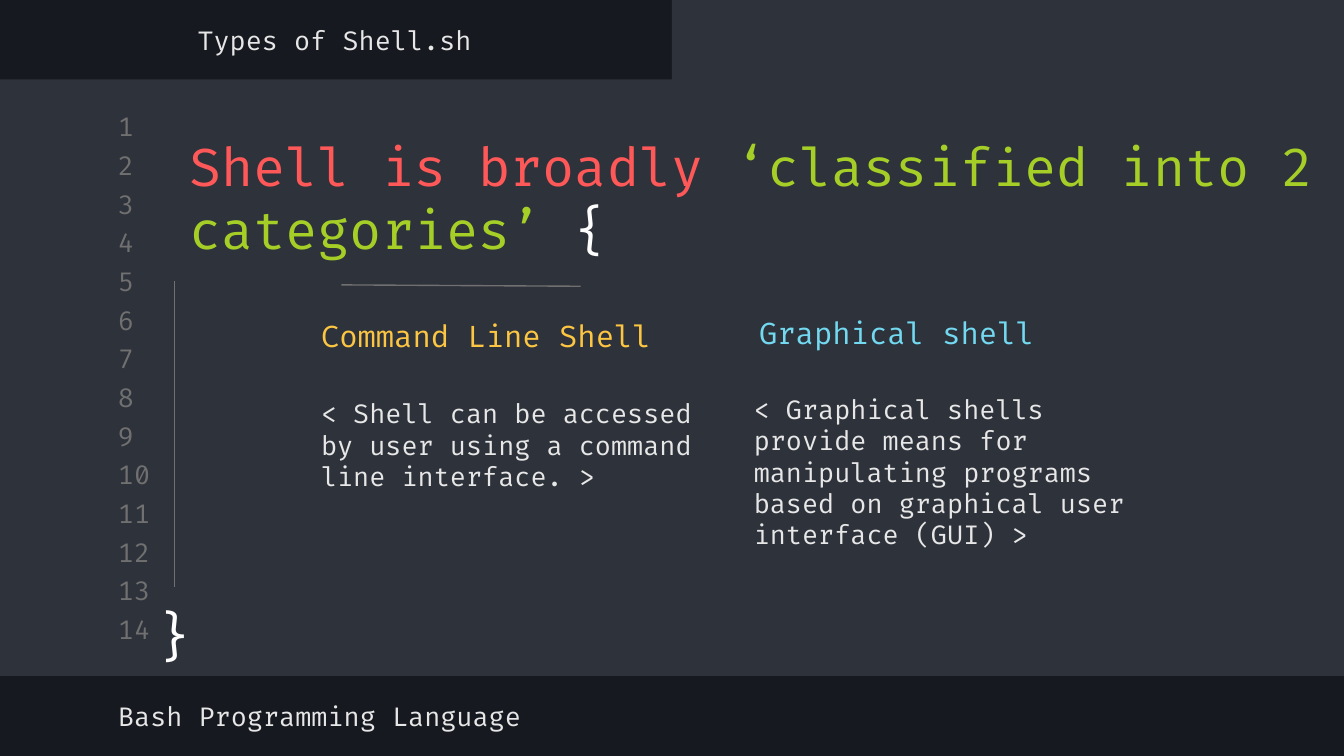
from dataclasses import dataclass
from pptx import Presentation
from pptx.dml.color import RGBColor as Rgb
from pptx.enum.shapes import MSO_CONNECTOR as Link, MSO_SHAPE as Form
from pptx.enum.text import MSO_ANCHOR as Anchor, PP_ALIGN as Align
from pptx.oxml.ns import qn
from pptx.util import Inches, Pt
from lxml.etree import SubElement


@dataclass(frozen=True)
class Theme:
    font: str = "Fira Code"
    back: str = "16191F"
    panel: str = "2E323B"
    gray: str = "707070"
    light: str = "E7E7E7"
    white: str = "FFFFFF"
    red: str = "FF5858"
    green: str = "A5CF27"
    gold: str = "FCC642"
    blue: str = "72D9F0"
    title: int = 28
    head: int = 16
    body: int = 14
    rule: float = 0.75


THEME = Theme()
WIDE = Inches(10)
ROWS = 14
FIRST, LAST = 0.82, 4.56


def apply(item, form):
    for key, value in form.items():
        setattr(item, key, value)


def add_panel(slide, *box):
    panel = slide.shapes.add_shape(Form.RECTANGLE, *map(Inches, box))
    panel.shadow.inherit = False
    panel.fill.solid()
    panel.fill.fore_color.rgb = Rgb.from_string(THEME.panel)
    panel.line.fill.background()


def add_rule(slide, *ends):
    rule = slide.shapes.add_connector(Link.STRAIGHT, *map(Inches, ends))
    rule.line.color.rgb = Rgb.from_string(THEME.gray)
    rule.line.width = Pt(THEME.rule)
    SubElement(rule._element.spPr, qn("a:effectLst"))


def add_text(slide, box, runs, size, anchor=Anchor.MIDDLE, align=Align.LEFT):
    frame = slide.shapes.add_textbox(*map(Inches, box)).text_frame
    pad = Inches(0.1)
    apply(frame, {
        "word_wrap": True,
        "vertical_anchor": anchor,
        "margin_left": pad,
        "margin_right": pad,
        "margin_top": pad,
        "margin_bottom": pad,
    })
    para = frame.paragraphs[0]
    para.alignment = align
    for text, color in runs:
        run = para.add_run()
        run.text = text
        apply(run.font, {"name": THEME.font, "size": Pt(size)})
        run.font.color.rgb = Rgb.from_string(color)


def add_lines(slide):
    step = (LAST - FIRST) / (ROWS - 1)
    for row in range(ROWS):
        box = (0.78, FIRST + row * step, 0.47, 0.24)
        add_text(slide, box, [(str(row + 1), THEME.gray)], THEME.body)


def add_topic(slide, head, color, spot, body, place):
    add_text(slide, spot, [(head, color)], THEME.head)
    add_text(slide, place, [(body, THEME.light)], THEME.body)


def main():
    deck = Presentation()
    apply(deck, {"slide_width": WIDE, "slide_height": WIDE * 9 // 16})
    slide = deck.slides.add_slide(deck.slide_layouts[6])
    fill = slide.background.fill
    fill.solid()
    fill.fore_color.rgb = Rgb.from_string(THEME.back)

    add_panel(slide, 0, 0.59, 10, 4.44)
    add_panel(slide, 5, 0, 5, 0.65)
    add_lines(slide)
    add_rule(slide, 2.54, 2.12, 4.32, 2.13)

    title = [
        ("Shell is broadly ", THEME.red),
        ("‘classified into 2 categories’ ", THEME.green),
        ("{", THEME.white),
    ]
    add_text(slide, (1.31, 0.9, 9.33, 0.59), title, THEME.title, Anchor.TOP)
    add_text(slide, (1.02, 4.39, 0.55, 0.67), [("}", THEME.white)],
             THEME.title, Anchor.TOP, Align.CENTER)
    add_rule(slide, 1.3, 2.09, 1.3, 4.37)

    add_topic(slide, "Command Line Shell", THEME.gold, (2.29, 2.31, 3.83, 0.37),
              "< Shell can be accessed by user using a command line interface. >",
              (2.29, 2.91, 2.99, 0.8))
    add_topic(slide, "Graphical shell", THEME.blue, (5.55, 2.29, 3.18, 0.37),
              "< Graphical shells provide means for manipulating programs "
              "based on graphical user interface (GUI) >",
              (5.51, 3.11, 2.99, 0.8))

    add_text(slide, (0.78, 5.13, 5.32, 0.39),
             [("Bash Programming Language", THEME.light)], THEME.body)
    add_text(slide, (-0.01, 0.1, 5, 0.39),
             [("Types of Shell.sh", THEME.light)], THEME.body, align=Align.CENTER)
    deck.save("out.pptx")


if __name__ == "__main__":
    main()
